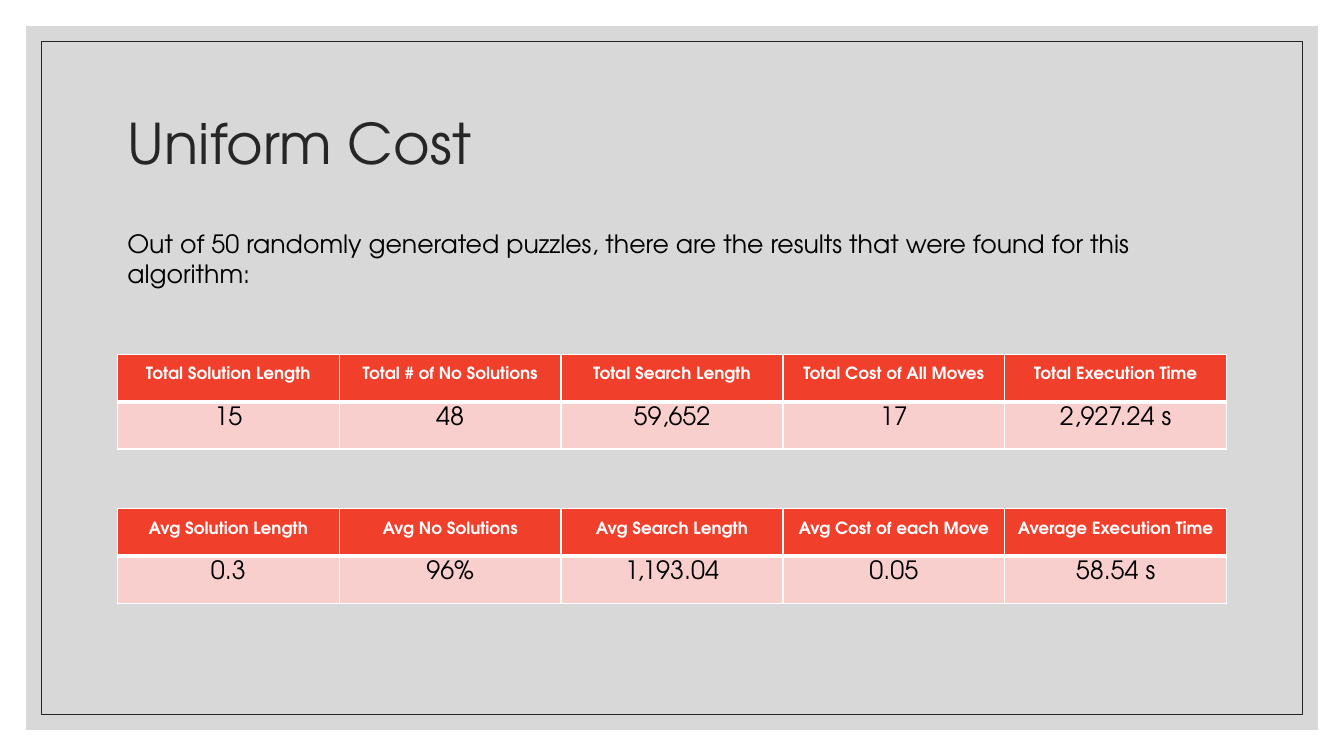
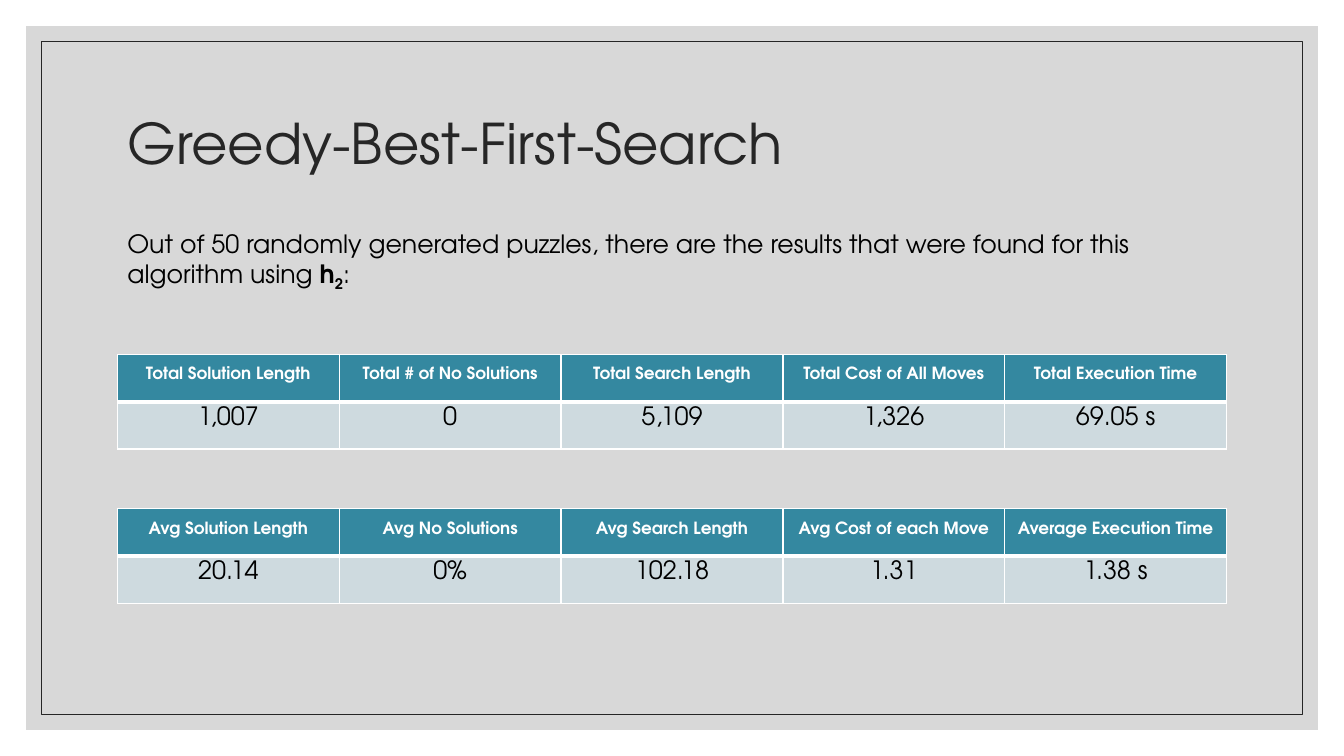
"""Build two slides of search results, each with a pair of five-column tables."""
from dataclasses import dataclass

from lxml.etree import SubElement
from pptx import Presentation
from pptx.dml.color import RGBColor
from pptx.enum.shapes import MSO_SHAPE
from pptx.enum.text import MSO_ANCHOR, PP_ALIGN
from pptx.oxml.ns import qn
from pptx.util import Inches, Pt


@dataclass(frozen=True)
class Theme:
    font: str = "TeX Gyre Adventor"
    ink: str = "262626"
    text: str = "000000"
    white: str = "FFFFFF"
    panel: str = "BFBFBF"
    red: tuple = ("F03F2B", "F9CFCD")
    teal: tuple = ("3488A0", "CEDADF")
    title: int = 40
    body: int = 18
    head: int = 12


T = Theme()
W, H = Inches(13.33), Inches(7.5)
COL, ROW, COLS = Inches(2.2), Inches(0.47), 5
LEFT = (W - COLS * COL) // 2

INTRO = ("Out of 50 randomly generated puzzles, there are the results "
         "that were found for this algorithm")
TOTALS = ["Total Solution Length", "Total # of No Solutions", "Total Search Length",
          "Total Cost of All Moves", "Total Execution Time"]
AVERAGES = ["Avg Solution Length", "Avg No Solutions", "Avg Search Length",
            "Avg Cost of each Move", "Average Execution Time"]
SLIDES = [
    ("Uniform Cost", T.red, [(INTRO + ":", {})],
     ["15", "48", "59,652", "17", "2,927.24 s"],
     ["0.3", "96%", "1,193.04", "0.05", "58.54 s"]),
    ("Greedy-Best-First-Search", T.teal,
     [(INTRO + " using ", {}), ("h", {"bold": True}),
      ("2", {"bold": True, "baseline": -25}), (":", {})],
     ["1,007", "0", "5,109", "1,326", "69.05 s"],
     ["20.14", "0%", "102.18", "1.31", "1.38 s"]),
]


def write(tf, text, size=T.body, color=T.text, bold=False, baseline=0,
          align=PP_ALIGN.LEFT, spacing=1.0):
    p = tf.paragraphs[0]
    p.alignment, p.line_spacing = align, spacing
    r = p.add_run()
    r.text = text
    r.font.name, r.font.size, r.font.bold = T.font, Pt(size), bold
    r.font.color.rgb = RGBColor.from_string(color)
    if baseline:
        r.font._element.set("baseline", str(baseline * 1000))


def add_border(cell, side, width):
    ln = SubElement(cell._tc.get_or_add_tcPr(), qn(f"a:ln{side}"), w=str(Pt(width)))
    SubElement(SubElement(ln, qn("a:solidFill")), qn("a:srgbClr"), val=T.white)


prs = Presentation()
prs.slide_width, prs.slide_height = W, H

for title, (dark, light), intro, totals, averages in SLIDES:
    s = prs.slides.add_slide(prs.slide_layouts[6])

    panel, frame = [
        s.shapes.add_shape(MSO_SHAPE.RECTANGLE, inset, inset, W - 2 * inset, H - 2 * inset)
        for inset in (int(0.55 * ROW), int(0.87 * ROW))]
    for sp in (panel, frame):
        sp.shadow.inherit = False
    panel.fill.solid()
    panel.fill.fore_color.rgb = RGBColor.from_string(T.panel)
    color = panel.fill._xPr.find(".//" + qn("a:srgbClr"))
    SubElement(color, qn("a:alpha"), val="60000")
    panel.line.fill.background()
    frame.fill.background()
    frame.line.color.rgb = RGBColor.from_string(T.ink)
    frame.line.width = Pt(0.5)

    for top, rows, anchor, runs in [
            (1.5, 3.2, MSO_ANCHOR.MIDDLE,
             [(title, {"size": T.title, "color": T.ink, "spacing": 0.9})]),
            (4.71, 1.5, MSO_ANCHOR.TOP, intro)]:
        sp = s.shapes.add_textbox(LEFT, int(top * ROW), COLS * COL, int(rows * ROW))
        tf = sp.text_frame
        tf.word_wrap, tf.vertical_anchor = True, anchor
        for text, style in runs:
            write(tf, text, **style)

    for top, heads, values in [(7.48, TOTALS, totals), (10.74, AVERAGES, averages)]:
        table = s.shapes.add_table(2, COLS, LEFT, int(top * ROW), COLS * COL, 2 * ROW).table
        table.first_row = table.horz_banding = False
        for row, (texts, fill, style, edges) in enumerate([
                (heads, dark, {"size": T.head, "color": T.white, "bold": True,
                               "spacing": 1.5}, (1, 1, 1, 3)),
                (values, light, {}, (1, 1, 3, 1))]):
            for col, text in enumerate(texts):
                cell = table.cell(row, col)
                cell.margin_top, cell.margin_bottom = Inches(0.05), 0
                cell.margin_left = cell.margin_right = Inches(0.07)
                for side, width in zip("LRTB", edges):
                    add_border(cell, side, width)
                cell.fill.solid()
                cell.fill.fore_color.rgb = RGBColor.from_string(fill)
                write(cell.text_frame, text, align=PP_ALIGN.CENTER, **style)

prs.save("out.pptx")
